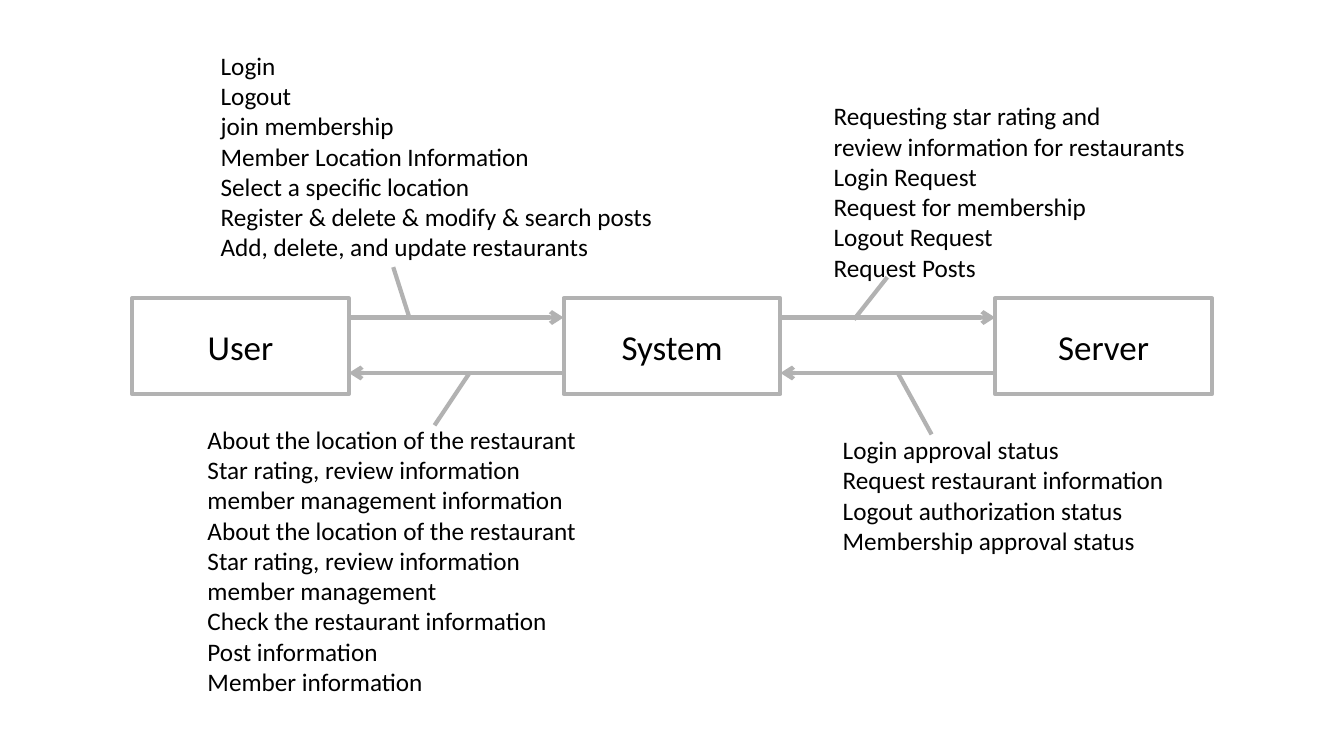
from lxml.etree import SubElement
from pptx import Presentation
from pptx.dml.color import RGBColor
from pptx.enum.shapes import MSO_CONNECTOR as Link, MSO_SHAPE as Shape
from pptx.enum.text import MSO_ANCHOR as Anchor, PP_ALIGN as Align
from pptx.oxml.ns import qn
from pptx.util import Inches, Pt

COLORS = {"line": "B2B2B2", "text": "000000", "back": "FFFFFF"}
FONT = "Calibri"
LEFT, TOP, WIDTH, HEIGHT = 1.31, 2.96, 2.15, 0.95
STEP = 4.28
SEND, REPLY = 0.19, 0.74

ACTORS = ["User", "System", "Server"]
NOTES = [
    ((2.09, 0.45, 4.58, 2.2), (4.06, 3.15, 3.9, 2.65), [
        "Login",
        "Logout",
        "join membership",
        "Member Location Information",
        "Select a specific location",
        "Register & delete & modify & search posts",
        "Add, delete, and update restaurants",
    ]),
    ((1.96, 4.16, 5.2, 2.79), (4.65, 3.71, 4.31, 4.22), [
        "About the location of the restaurant",
        "Star rating, review information",
        "member management information",
        "About the location of the restaurant",
        "Star rating, review information",
        "member management",
        "Check the restaurant information",
        "Post information",
        "Member information",
    ]),
    ((8.17, 0.95, 3.73, 1.9), (8.47, 3.17, 8.8, 2.75), [
        "Requesting star rating and",
        "review information for restaurants",
        "Login Request",
        "Request for membership",
        "Logout Request",
        "Request Posts",
    ]),
    ((8.26, 4.26, 3.54, 1.29), (8.91, 3.71, 9.24, 4.31), [
        "Login approval status",
        "Request restaurant information",
        "Logout authorization status",
        "Membership approval status",
    ]),
]


def color(name):
    return RGBColor.from_string(COLORS[name])


def stroke(line):
    line.color.rgb = color("line")
    line.width = Pt(3)


def write(frame, lines, size, align=Align.LEFT):
    frame.word_wrap = True
    for i, text in enumerate(lines):
        para = frame.paragraphs[0] if i == 0 else frame.add_paragraph()
        para.alignment = align
        run = para.add_run()
        run.text = text
        run.font.name = FONT
        run.font.size = Pt(size)
        run.font.color.rgb = color("text")


def add_line(slide, ends, arrow=False):
    line = slide.shapes.add_connector(Link.STRAIGHT, *map(Inches, ends))
    stroke(line.line)
    SubElement(line._element.spPr, qn("a:effectLst"))
    if arrow:
        SubElement(line.line._get_or_add_ln(), qn("a:tailEnd"), type="arrow")


def add_actor(slide, box, name):
    shape = slide.shapes.add_shape(Shape.RECTANGLE, *map(Inches, box))
    shape.shadow.inherit = False
    shape.fill.solid()
    shape.fill.fore_color.rgb = color("back")
    stroke(shape.line)
    shape.text_frame.vertical_anchor = Anchor.MIDDLE
    write(shape.text_frame, [name], 25, Align.CENTER)


def add_flow(slide, box):
    left, top, width, _ = box
    right = left + width
    add_line(slide, (left, top + SEND, right, top + SEND), True)
    add_line(slide, (right, top + REPLY, left, top + REPLY), True)


def add_note(slide, box, lead, lines):
    note = slide.shapes.add_textbox(*map(Inches, box))
    write(note.text_frame, lines, 18)
    add_line(slide, lead)


def main():
    deck = Presentation()
    deck.slide_width, deck.slide_height = Inches(13.33), Inches(7.5)
    slide = deck.slides.add_slide(deck.slide_layouts[6])
    for i, name in enumerate(ACTORS):
        add_actor(slide, (LEFT + i * STEP, TOP, WIDTH, HEIGHT), name)
    for i in range(len(ACTORS) - 1):
        start = LEFT + i * STEP + WIDTH
        add_flow(slide, (start, TOP, STEP - WIDTH, HEIGHT))
    for box, lead, lines in NOTES:
        add_note(slide, box, lead, lines)
    deck.save("out.pptx")


if __name__ == "__main__":
    main()
